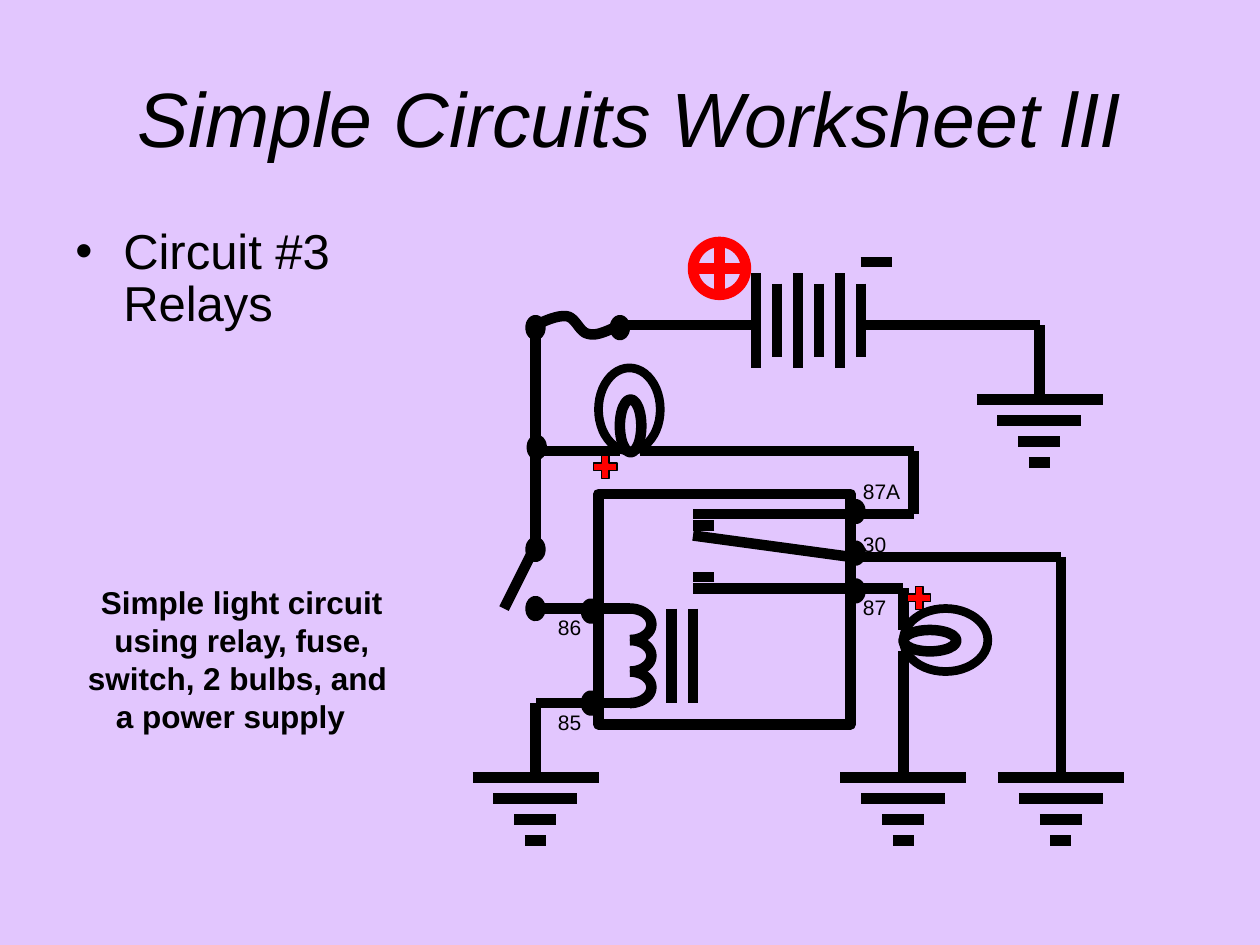
from itertools import pairwise
from math import cos, pi, sin

from lxml.etree import SubElement
from pptx import Presentation
from pptx.dml.color import RGBColor
from pptx.enum.shapes import MSO_CONNECTOR, MSO_SHAPE as Preset
from pptx.enum.text import MSO_ANCHOR as Anchor, MSO_AUTO_SIZE as AutoSize, PP_ALIGN as Align
from pptx.oxml.ns import qn
from pptx.util import Inches, Pt

THEME = {
    "font": "Arial", "background": "E2C6FE", "ink": "000000", "positive": "FF0000",
    "title": 44, "topic": 28, "caption": 18, "label": 12, "wire": 6, "bulb": 5,
}

TITLE = "Simple Circuits Worksheet lII"
TOPIC = "Circuit #3 Relays"
CAPTION = "Simple light circuit using relay, fuse, switch, 2 bulbs, and \va power supply \t"
TERMINALS = [
    ("85", 4.33, 5.58, 0.42), ("86", 4.33, 4.83, 0.42), ("30", 6.75, 4.17, 0.42),
    ("87A", 6.75, 3.75, 0.58), ("87", 6.75, 4.67, 0.42),
]

WIRES = {
    "fuse to battery": [(6, 2.58), (4.92, 2.58)],
    "battery to ground": [(6.83, 2.58), (8.25, 2.58), (8.25, 3.17)],
    "minus sign": [(6.83, 2.08), (7.08, 2.08)],
    "fuse to switch": [(4.25, 2.58), (4.25, 4.33), (4, 4.83)],
    "switch to coil": [(4.25, 4.83), (5, 4.83)],
    "coil to ground": [(5, 5.58), (4.25, 5.58), (4.25, 6.17)],
    "core left": [(5.33, 4.83), (5.33, 5.58)],
    "core right": [(5.5, 4.83), (5.5, 5.58)],
    "feed to upper bulb": [(4.25, 3.58), (4.92, 3.58)],
    "upper bulb to 87A": [(5.08, 3.58), (7.25, 3.58), (7.25, 4.08), (6.75, 4.08), (5.5, 4.08)],
    "87A contact": [(5.67, 4.17), (5.5, 4.17)],
    "armature to ground": [(5.5, 4.25), (6.75, 4.42), (8.42, 4.42), (8.42, 6.17)],
    "87 contact": [(5.67, 4.58), (5.5, 4.58)],
    "87 to lower bulb": [(5.5, 4.67), (6.75, 4.67), (7.17, 4.67), (7.17, 5)],
    "lower bulb to ground": [(7.17, 5.17), (7.17, 6.17)],
}
GROUNDS = [(8.25, 3.17), (4.25, 6.17), (8.42, 6.17), (7.17, 6.17)]
GROUND_HALF_WIDTHS = [1 / 2, 1 / 3, 1 / 6, 1 / 12]
STEP = 1 / 6
PLATE_COUNT = 6
FUSE_CURVES = [
    [(4.25, 2.58), (4.34, 2.54), (4.43, 2.5), (4.5, 2.51)],
    [(4.5, 2.51), (4.57, 2.52), (4.6, 2.64), (4.67, 2.65)],
    [(4.67, 2.65), (4.74, 2.67), (4.83, 2.62), (4.92, 2.58)],
]
COIL_TOPS = [4.83, 5.08, 5.33]
OUTLINES = [
    (Preset.RECTANGLE, (4.75, 3.92, 2, 1.83), "ink", "wire"),
    (Preset.FLOWCHART_OR, (5.5, 1.92, 0.42, 0.42), "positive", "wire"),
    (Preset.OVAL, (7.17, 5, 0.42, 0.17), "ink", "wire"),
    (Preset.OVAL, (7.17, 4.83, 0.67, 0.5), "ink", "bulb"),
    (Preset.OVAL, (4.75, 2.92, 0.49, 0.66), "ink", "bulb"),
    (Preset.OVAL, (4.92, 3.17, 0.17, 0.42), "ink", "wire"),
]
PLUS_SIGNS = [(7.17, 4.62), (4.68, 3.58)]
JUNCTIONS = [
    (4.21, 4.77), (6.75, 4), (6.75, 4.33), (4.65, 5.52), (6.75, 4.63),
    (4.65, 4.79), (4.21, 4.3), (4.22, 3.49), (4.88, 2.54), (4.21, 2.54),
]


def color(role):
    return RGBColor.from_string(THEME[role])


def set_line(line, role="ink", width=THEME["wire"]):
    line.color.rgb = color(role)
    line.width = Pt(width)


def add_text(slide, words, place, size, align=Align.LEFT, bold=False, italic=False, grow=True):
    box = slide.shapes.add_textbox(*map(Inches, place))
    frame = box.text_frame
    frame.word_wrap = True
    frame.auto_size = AutoSize.SHAPE_TO_FIT_TEXT if grow else AutoSize.NONE
    frame.text = words
    paragraph = frame.paragraphs[0]
    paragraph.alignment = align
    for run in paragraph.runs:
        run.font.name, run.font.size = THEME["font"], Pt(THEME[size])
        run.font.bold, run.font.italic = bold, italic
        run.font.color.rgb = color("ink")
    return frame


def add_bullet(paragraph):
    properties = paragraph._p.get_or_add_pPr()
    properties.set("marL", str(Inches(0.38)))
    properties.set("indent", str(Inches(-0.38)))
    SubElement(properties, qn("a:buFont"), typeface=THEME["font"])
    SubElement(properties, qn("a:buChar"), char="•")
    paragraph.line_spacing = 0.9


def add_wire(slide, start, end):
    wire = slide.shapes.add_connector(MSO_CONNECTOR.STRAIGHT, *map(Inches, (*start, *end)))
    set_line(wire.line)
    SubElement(wire._element.spPr, qn("a:effectLst"))


def add_outline(slide, preset, place, role="ink", width=THEME["wire"], fill=None):
    outline = slide.shapes.add_shape(preset, *map(Inches, place))
    outline.shadow.inherit = False
    if fill:
        outline.fill.solid()
        outline.fill.fore_color.rgb = color(fill)
    else:
        outline.fill.background()
    set_line(outline.line, role, width)


def add_curve(slide, points):
    start, *rest = [(Inches(x), Inches(y)) for x, y in points]
    builder = slide.shapes.build_freeform(*start)
    builder.add_line_segments(rest, close=False)
    curve = builder.convert_to_shape()
    curve.shadow.inherit = False
    curve.fill.background()
    set_line(curve.line)


def bezier(controls, steps=12):
    for t in (i / steps for i in range(steps + 1)):
        weights = ((1 - t) ** 3, 3 * t * (1 - t) ** 2, 3 * t * t * (1 - t), t ** 3)
        yield tuple(sum(w * p[axis] for w, p in zip(weights, controls)) for axis in (0, 1))


def coil_turn(top, steps=24):
    for angle in (pi * i / steps for i in range(steps + 1)):
        yield 5 + 0.17 * sin(angle), top + 0.125 * (1 - cos(angle))


def draw_circuit(slide):
    for preset, place, role, width in OUTLINES:
        add_outline(slide, preset, place, role, THEME[width])
    for i in range(PLATE_COUNT):
        x = 6 + i * STEP
        top, bottom = (2.25, 2.83) if i % 2 else (2.17, 2.92)
        add_wire(slide, (x, top), (x, bottom))
    for route in WIRES.values():
        for start, end in pairwise(route):
            add_wire(slide, start, end)
    for x, top in GROUNDS:
        for i, half in enumerate(GROUND_HALF_WIDTHS):
            y = top + i * STEP
            add_wire(slide, (x - half, y), (x + half, y))
    add_curve(slide, [point for controls in FUSE_CURVES for point in bezier(controls)])
    for top in COIL_TOPS:
        add_curve(slide, coil_turn(top))
    for corner in PLUS_SIGNS:
        add_outline(slide, Preset.MATH_PLUS, (*corner, 0.25, 0.25), width=0, fill="positive")
    for corner in JUNCTIONS:
        add_outline(slide, Preset.FLOWCHART_CONNECTOR, (*corner, 0.08, 0.12))


def main():
    """Build the relay circuit worksheet slide."""
    deck = Presentation()
    deck.slide_width, deck.slide_height = Inches(10), Inches(7.5)
    slide = deck.slides.add_slide(deck.slide_layouts[6])
    slide.background.fill.solid()
    slide.background.fill.fore_color.rgb = color("background")

    title = add_text(slide, TITLE, (0.5, 0.3, 9, 1.25), "title", Align.CENTER, italic=True, grow=False)
    title.vertical_anchor = Anchor.MIDDLE
    topic = add_text(slide, TOPIC, (0.5, 1.75, 2.58, 1), "topic", grow=False)
    add_bullet(topic.paragraphs[0])
    add_text(slide, CAPTION, (0.42, 4.58, 3, 1.3), "caption", Align.CENTER, bold=True)
    draw_circuit(slide)
    for terminal, left, top, width in TERMINALS:
        add_text(slide, terminal, (left, top, width, 0.3), "label")
    deck.save("out.pptx")


if __name__ == "__main__":
    main()
